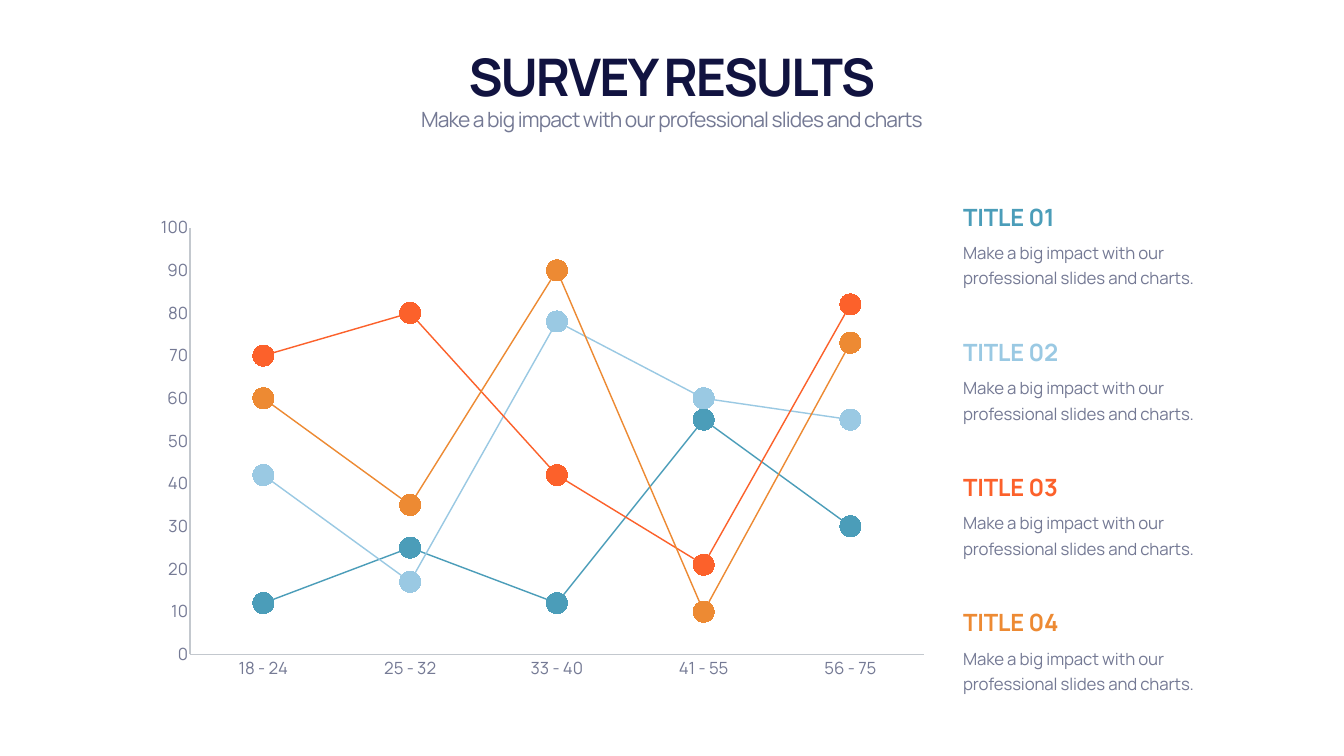
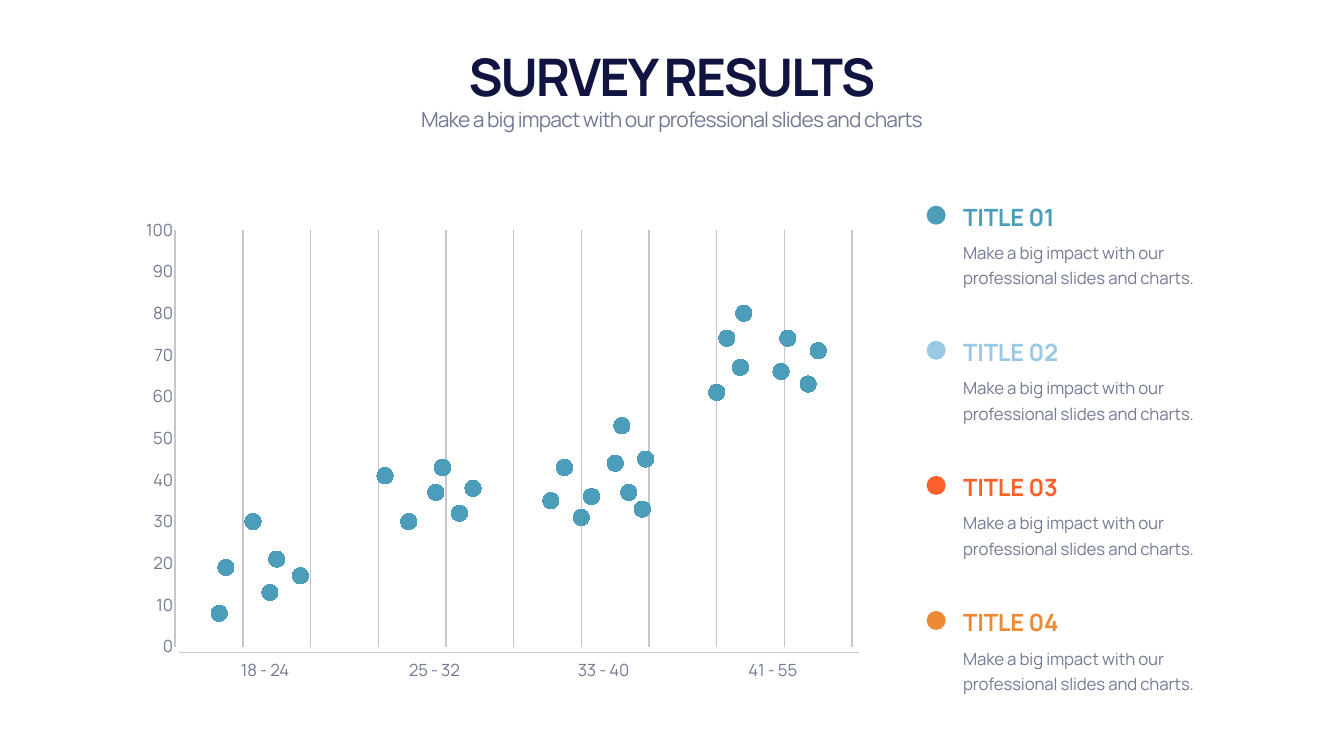
from lxml.etree import SubElement
from pptx import Presentation
from pptx.chart.data import CategoryChartData, XyChartData
from pptx.dml.color import RGBColor
from pptx.enum.chart import XL_CHART_TYPE as CT, XL_MARKER_STYLE as MS, XL_TICK_MARK as TM
from pptx.enum.shapes import MSO_CONNECTOR as CONN, MSO_SHAPE as SHP
from pptx.enum.text import MSO_ANCHOR as ANC, MSO_AUTO_SIZE as AUTO, PP_ALIGN as AL
from pptx.oxml.ns import qn
from pptx.util import Pt


class Theme:
    font = "Manrope"
    navy = RGBColor.from_string("111340")
    gray = RGBColor.from_string("747994")
    rule = RGBColor.from_string("C3C8CE")
    accents = [RGBColor.from_string(c) for c in ("4B9DB9", "9AC9E3", "FC612B", "ED8A33")]
    line = Pt(2)
    # size, bold, letter spacing, fixed line spacing (points)
    title = (74, True, -2.9, None)
    subtitle = (30, False, -1.2, None)
    heading = (34, True, -0.3, None)
    body = (24, False, -0.2, 36)


def write(slide, text, box, style, color, align=AL.LEFT, anchor=ANC.TOP, holder=None):
    """Put one styled paragraph in a placeholder or a new text box."""
    s = holder or slide.shapes.add_textbox(0, 0, 0, 0)
    s.left, s.top, s.width, s.height = [Pt(v) for v in box]
    size, bold, spacing, leading = style
    tf = s.text_frame
    tf.text = text
    tf.word_wrap = True
    tf.auto_size = AUTO.SHAPE_TO_FIT_TEXT
    tf.vertical_anchor = anchor
    tf.margin_left = tf.margin_right = Pt(6.86)
    tf.margin_top = tf.margin_bottom = Pt(3.43)
    p = tf.paragraphs[0]
    p.alignment = align
    p.space_before = Pt(0)
    if leading:
        p.line_spacing = Pt(leading)
    r = p.runs[0]
    r.font.name, r.font.size, r.font.bold = Theme.font, Pt(size), bold
    r.font.color.rgb = color
    r._r.get_or_add_rPr().set("spc", str(round(spacing * 100)))


def add_chart(slide, kind, box, data, plot, marker_size):
    """Add a 0-100 chart with the shared axes, markers and inner plot area."""
    chart = slide.shapes.add_chart(kind, *[Pt(v) for v in box], data).chart
    chart.has_title = chart.has_legend = False
    chart.font.name, chart.font.size = Theme.font, Pt(Theme.body[0])
    chart.font.color.rgb = Theme.gray

    for axis in (chart.category_axis, chart.value_axis):
        axis.has_major_gridlines = False
        axis.major_tick_mark = axis.minor_tick_mark = TM.NONE
        axis.format.line.color.rgb = Theme.rule
        axis.format.line.width = Theme.line
    axis = chart.value_axis
    axis.minimum_scale, axis.maximum_scale, axis.major_unit = 0, 100, 10

    for series, color in zip(chart.plots[0].series, Theme.accents):
        series.smooth = False
        series.format.line.color.rgb = color
        series.format.line.width = Theme.line
        marker = series.marker
        marker.style, marker.size = MS.CIRCLE, marker_size
        marker.format.fill.solid()
        marker.format.fill.fore_color.rgb = color
        marker.format.line.fill.background()

    area = chart._chartSpace.chart.plotArea
    for old in area.findall(qn("c:layout")):
        area.remove(old)
    layout = area.makeelement(qn("c:layout"))
    area.insert(0, layout)
    manual = SubElement(layout, qn("c:manualLayout"))
    settings = [("layoutTarget", "inner"), ("xMode", "edge"), ("yMode", "edge")]
    for tag, value in settings + list(zip("xywh", plot)):
        SubElement(manual, qn("c:" + tag)).set("val", str(value))
    return chart


prs = Presentation()
prs.slide_width, prs.slide_height = Pt(1919.5), Pt(1080)
layout = prs.slide_layouts.get_by_name("Section Header")
line_slide, scatter_slide = slides = [prs.slides.add_slide(layout) for _ in range(2)]

# Shared heading and the four text items on the right
ITEM_TOP, ITEM_PITCH = 285, 193
for slide in slides:
    title, subtitle = slide.placeholders
    write(slide, "SURVEY RESULTS", (119.5, 59, 1680, 97.2), Theme.title, Theme.navy,
          AL.CENTER, ANC.BOTTOM, title)
    write(slide, "Make a big impact with our professional slides and charts",
          (119.5, 149, 1680, 44), Theme.subtitle, Theme.gray, AL.CENTER, holder=subtitle)
    for i, color in enumerate(Theme.accents):
        y = ITEM_TOP + i * ITEM_PITCH
        write(slide, f"TITLE {i + 1:02}", (1368.7, y, 378.7, 48.2), Theme.heading, color,
              anchor=ANC.BOTTOM)
        write(slide, "Make a big impact with our professional slides and charts.",
              (1368.7, y + 51.5, 378.7, 78.5), Theme.body, Theme.gray)

# Slide 1: line chart by age group
ages = ["18 - 24", "25 - 32", "33 - 40", "41 - 55", "56 - 75"]
results = [
    (12, 25, 12, 55, 30),
    (42, 17, 78, 60, 55),
    (70, 80, 42, 21, 82),
    (60, 35, 90, 10, 73),
]
data = CategoryChartData()
data.categories = ages
for i, values in enumerate(results, 1):
    data.add_series(f"Series {i}", values)
add_chart(line_slide, CT.LINE_MARKERS, (208, 308.2, 1112.4, 678.2), data,
          (0.057, 0.025, 0.943, 0.899), 30)

# Slide 2: scatter chart, clustered by age group
points = [
    (13, 8), (15, 19), (23, 30), (28, 13), (30, 21), (37, 17),
    (62, 41), (69, 30), (77, 37), (79, 43), (84, 32), (88, 38),
    (111, 35), (115, 43), (120, 31), (123, 36), (130, 44), (132, 53),
    (134, 37), (138, 33), (139, 45),
    (160, 61), (163, 74), (167, 67), (168, 80), (179, 66), (181, 74),
    (187, 63), (190, 71),
]
data = XyChartData()
series = data.add_series("Series 1")
for x, y in points:
    series.add_data_point(x, y)
chart = add_chart(scatter_slide, CT.XY_SCATTER, (187.2, 299.5, 1049.8, 654.5), data,
                  (0.06, 0.044, 0.921, 0.91), 23)
chart.plots[0].series[0].format.line.fill.background()
axis = chart.category_axis
axis.minimum_scale, axis.maximum_scale, axis.major_unit = 0, 200, 20
axis.has_major_gridlines = True
axis.major_gridlines.format.line.color.rgb = Theme.rule
axis.major_gridlines.format.line.width = Theme.line
axis.visible = False

# Age labels under the scatter chart
for i, age in enumerate(ages[:4]):
    write(scatter_slide, age, (280.8 + i * 241.7, 932.4, 195.8, 41.8), Theme.body,
          Theme.gray, AL.CENTER)

# Base line above the age labels
base = scatter_slide.shapes.add_connector(CONN.STRAIGHT, Pt(256.3), Pt(932.4), Pt(1226.9), Pt(932.4))
base.line.color.rgb = Theme.rule
base.line.width = Theme.line
SubElement(base._element.spPr, qn("a:effectLst"))

# Colour dots beside the items
for i, color in enumerate(Theme.accents):
    dot = scatter_slide.shapes.add_shape(
        SHP.OVAL, Pt(1323.4), Pt(ITEM_TOP + 8.8 + i * ITEM_PITCH), Pt(27.2), Pt(27.2))
    dot.shadow.inherit = False
    dot.fill.solid()
    dot.fill.fore_color.rgb = color
    dot.line.fill.background()

prs.save("out.pptx")
